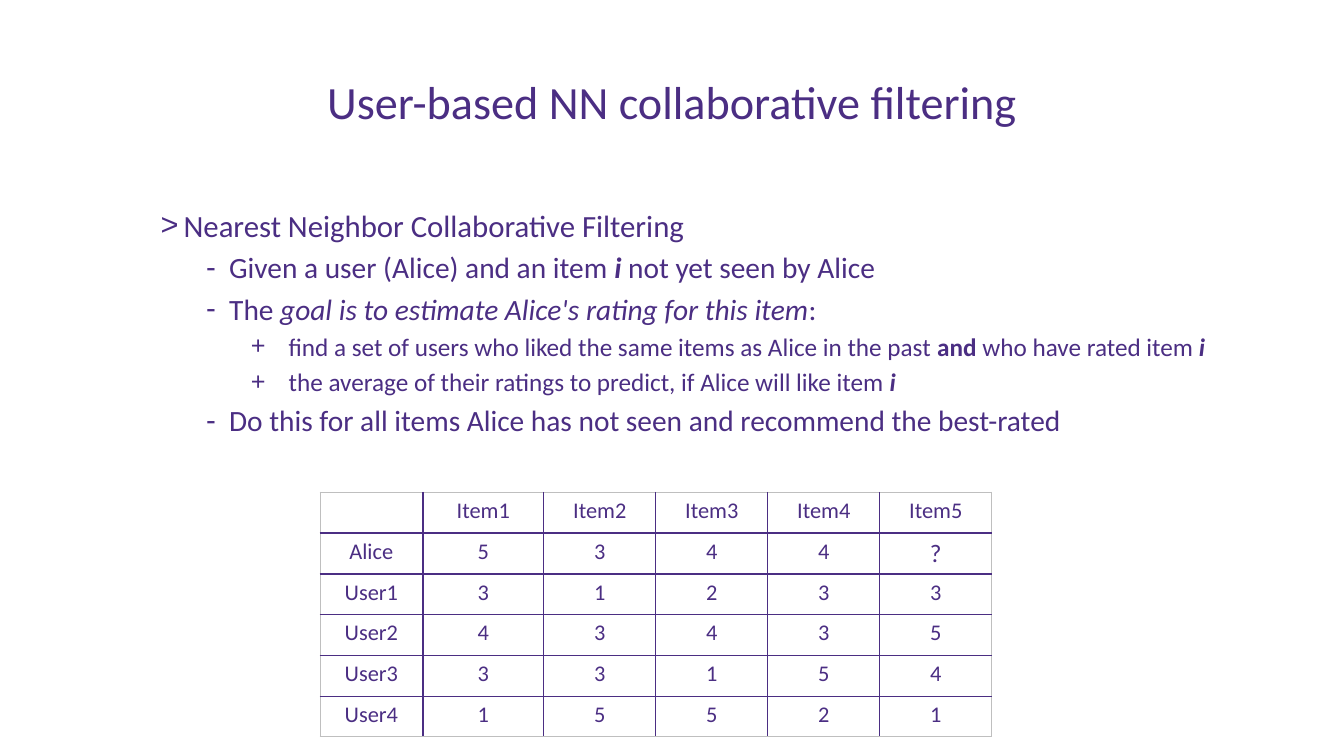
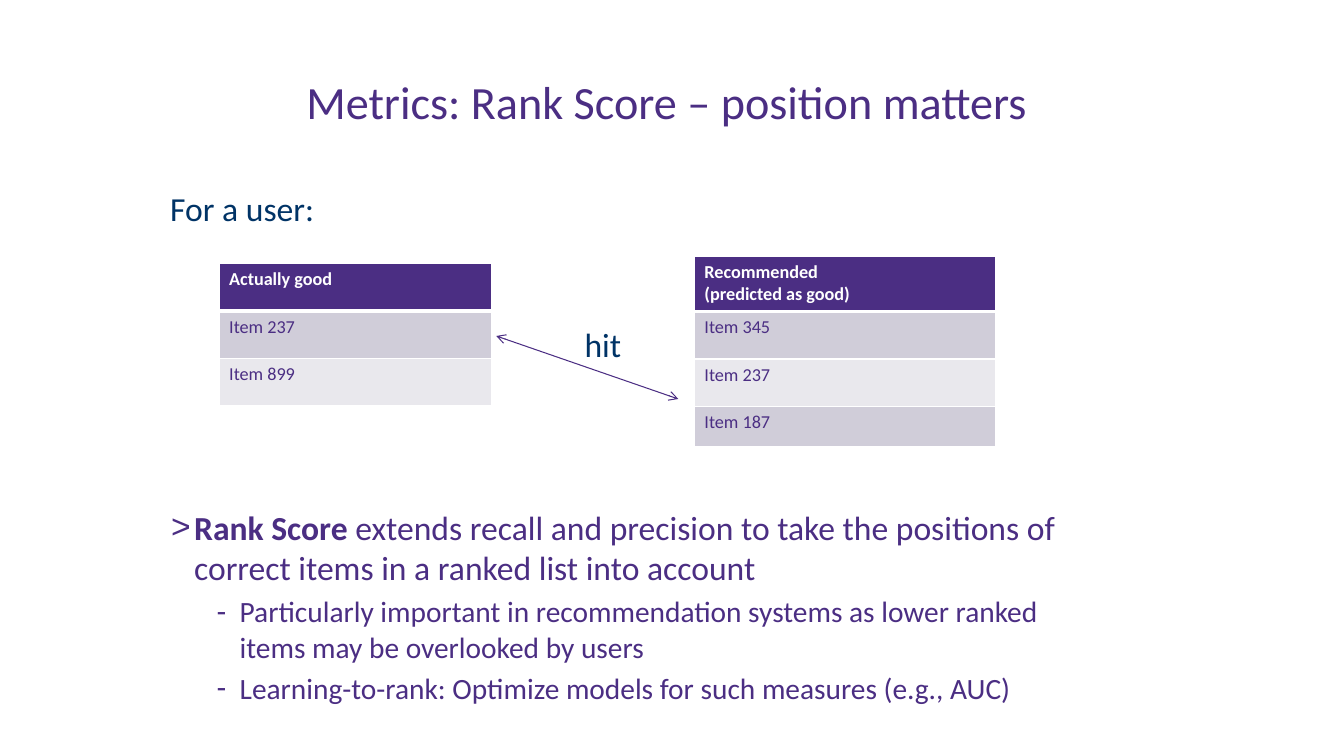
from lxml import etree
from pptx import Presentation
from pptx.dml.color import RGBColor
from pptx.enum.shapes import MSO_CONNECTOR
from pptx.enum.text import MSO_AUTO_SIZE, MSO_ANCHOR, PP_ALIGN
from pptx.oxml.ns import qn
from pptx.util import Pt

LEFT, CENTER = PP_ALIGN.LEFT, PP_ALIGN.CENTER
MIDDLE = MSO_ANCHOR.MIDDLE
NO_FIT, GROW = MSO_AUTO_SIZE.NONE, MSO_AUTO_SIZE.SHAPE_TO_FIT_TEXT
STRAIGHT = MSO_CONNECTOR.STRAIGHT

# Shared look
FONT = "Calibri"
COLORS = {
    "main": "4B2E83", "label": "003366", "white": "FFFFFF",
    "edge": "BFBFBF", "dark": "D0CDD9", "light": "E9E8ED",
}
TITLE_BOX = (66, 28.8, 828, 86.4)
# Bullet sign, left margin and hanging indent of each level
LEVELS = [(">", 16.5, 16.5), ("-", 49, 16.5), ("+", 91.5, 27)]

# Content: a list item is (level, runs), a run is (text, style letters)
NN_TITLE = "User-based NN collaborative filtering"
NN_LIST = [
    (0, [("Nearest Neighbor Collaborative Filtering", "")]),
    (1, [("Given a user (Alice) and an item ", ""), ("i ", "bi"),
         ("not yet seen by Alice", "")]),
    (1, [("The ", ""),
         ("goal is to estimate Alice's rating for this item", "i"),
         (":", "")]),
    (2, [("find a set of users who liked the same items as Alice in the past ",
          ""), ("and ", "b"), ("who have rated item ", ""), ("i", "bi")]),
    (2, [("the average of their ratings to predict, "
          "if Alice will like item ", ""), ("i", "bi")]),
    (1, [("Do this for all items Alice has not seen "
          "and recommend the best-rated", "")]),
]
RATINGS = [
    ["", "Item1", "Item2", "Item3", "Item4", "Item5"],
    ["Alice", "5", "3", "4", "4", "?"],
    ["User1", "3", "1", "2", "3", "3"],
    ["User2", "4", "3", "4", "3", "5"],
    ["User3", "3", "3", "1", "5", "4"],
    ["User4", "1", "5", "5", "2", "1"],
]
RANK_TITLE = "Metrics: Rank Score – position matters "
RANK_LIST = [
    (0, [("Rank Score", "b"),
         (" extends recall and precision to take the positions of "
          "correct items in a ranked list into account", "")]),
    (1, [("Particularly important in recommendation systems as lower "
          "ranked items may be overlooked by users", "")]),
    (1, [("Learning-to-rank: Optimize models for such measures "
          "(e.g., AUC)", "")]),
]
# Left, top, width, row heights, cell texts
RANKS = [
    (156.5, 188, 194.5, [34, 34, 34], ["Actually good", "Item 237", "Item 899"]),
    (496, 183, 215.5, [39.5, 34, 34, 28.5],
     ["Recommended\n(predicted as good)", "Item 345", "Item 237", "Item 187"]),
]
LABELS = [("For a user:", (114.5, 131, 118, 36)), ("hit", (410.5, 228, 41, 36))]
HIT_ARROW = (354.5, 240, 484.5, 285)


def color(name):
    return RGBColor.from_string(COLORS[name])


def style(run, size, tint="main", bold=False, italic=False):
    font = run.font
    font.name, font.size = FONT, Pt(size)
    font.bold, font.italic = bold, italic
    font.color.rgb = color(tint)


def style_all(frame, size, tint="main", bold=False, align=LEFT):
    for para in frame.paragraphs:
        para.alignment = align
        for run in para.runs:
            style(run, size, tint, bold)


def place(shape, box):
    shape.left, shape.top, shape.width, shape.height = map(Pt, box)


def add_slide(deck, title, items, box, sizes):
    """Add a slide with its title and its bulleted list."""
    slide = deck.slides.add_slide(deck.slide_layouts[1])
    head, body = slide.shapes.title, slide.placeholders[1]
    place(head, TITLE_BOX)
    head.text_frame.text = title
    head.text_frame.vertical_anchor = MIDDLE
    head.text_frame.auto_size = NO_FIT
    style_all(head.text_frame, 33, align=CENTER)
    place(body, box)
    frame = body.text_frame
    frame.auto_size = NO_FIT
    for k, (level, runs) in enumerate(items):
        para = frame.add_paragraph() if k else frame.paragraphs[0]
        para.level = level
        sign, margin, hang = LEVELS[level]
        props = para._p.get_or_add_pPr()
        props.set("marL", str(Pt(margin)))
        props.set("indent", str(-Pt(hang)))
        etree.SubElement(props, qn("a:buChar")).set("char", sign)
        if k == 0:
            para.space_before = Pt(0)
        for text, marks in runs:
            run = para.add_run()
            run.text = text
            style(run, sizes[level], bold="b" in marks, italic="i" in marks)
    return slide


def add_grid(slide, left, top, widths, heights, across, down):
    """Add an empty table; across and down list its rules as (colour, width)."""
    table = slide.shapes.add_table(
        len(heights), len(widths), Pt(left), Pt(top),
        Pt(sum(widths)), Pt(sum(heights))).table
    table.first_row = table.horz_banding = False
    for col, width in zip(table.columns, widths):
        col.width = Pt(width)
    for r, height in enumerate(heights):
        table.rows[r].height = Pt(height)
        for c in range(len(widths)):
            props = table.cell(r, c)._tc.get_or_add_tcPr()
            sides = {"L": down[c], "R": down[c + 1],
                     "T": across[r], "B": across[r + 1]}
            for side, (tint, width) in sides.items():
                line = etree.SubElement(props, qn("a:ln" + side))
                line.set("w", str(Pt(width)))
                fill = etree.SubElement(line, qn("a:solidFill"))
                etree.SubElement(fill, qn("a:srgbClr")).set("val", COLORS[tint])
    return table


def add_ratings(slide):
    edge, thin, thick = ("edge", 0.5), ("main", 0.75), ("main", 1.5)
    table = add_grid(
        slide, 228.5, 351.5, [73.5, 86.5] + [80] * 4, [26.6] + [29.1] * 5,
        [edge] + [thick] * 2 + [thin] * 3 + [edge],
        [edge, thick] + [thin] * 4 + [edge])
    for r, row in enumerate(RATINGS):
        for c, text in enumerate(row):
            cell = table.cell(r, c)
            cell.fill.background()
            cell.text_frame.text = text
            style_all(cell.text_frame, 18 if text == "?" else 16, align=CENTER)


def add_rank(slide, left, top, width, heights, texts):
    thin, thick = ("white", 1), ("white", 3)
    table = add_grid(slide, left, top, [width], heights,
                     [thin, thick] + [thin] * (len(texts) - 1), [thin] * 2)
    for r, text in enumerate(texts):
        cell = table.cell(r, 0)
        cell.fill.solid()
        band = "dark" if r % 2 else "light"
        cell.fill.fore_color.rgb = color(band if r else "main")
        cell.text_frame.text = text
        style_all(cell.text_frame, 13, "main" if r else "white", r == 0)


def add_label(slide, text, box):
    frame = slide.shapes.add_textbox(*map(Pt, box)).text_frame
    frame.word_wrap, frame.auto_size = False, GROW
    frame.text = text
    style_all(frame, 24, "label")


def add_arrow(slide, ends):
    arrow = slide.shapes.add_connector(STRAIGHT, *map(Pt, ends))
    arrow.line.color.rgb, arrow.line.width = color("main"), Pt(0.75)
    for tag in ("a:headEnd", "a:tailEnd"):
        etree.SubElement(arrow.line._ln, qn(tag)).set("type", "arrow")
    etree.SubElement(arrow._element.spPr, qn("a:effectLst"))


def main():
    deck = Presentation()
    deck.slide_width, deck.slide_height = Pt(960), Pt(540)

    # Nearest neighbours
    slide = add_slide(deck, NN_TITLE, NN_LIST,
                      (107.5, 144, 762.5, 342.5), (22, 21, 18))
    add_ratings(slide)

    # Rank score
    slide = add_slide(deck, RANK_TITLE, RANK_LIST,
                      (115, 358.5, 648, 150), (24, 21))
    for rank in RANKS:
        add_rank(slide, *rank)
    for text, box in LABELS:
        add_label(slide, text, box)
    add_arrow(slide, HIT_ARROW)

    deck.save("out.pptx")


if __name__ == "__main__":
    main()
